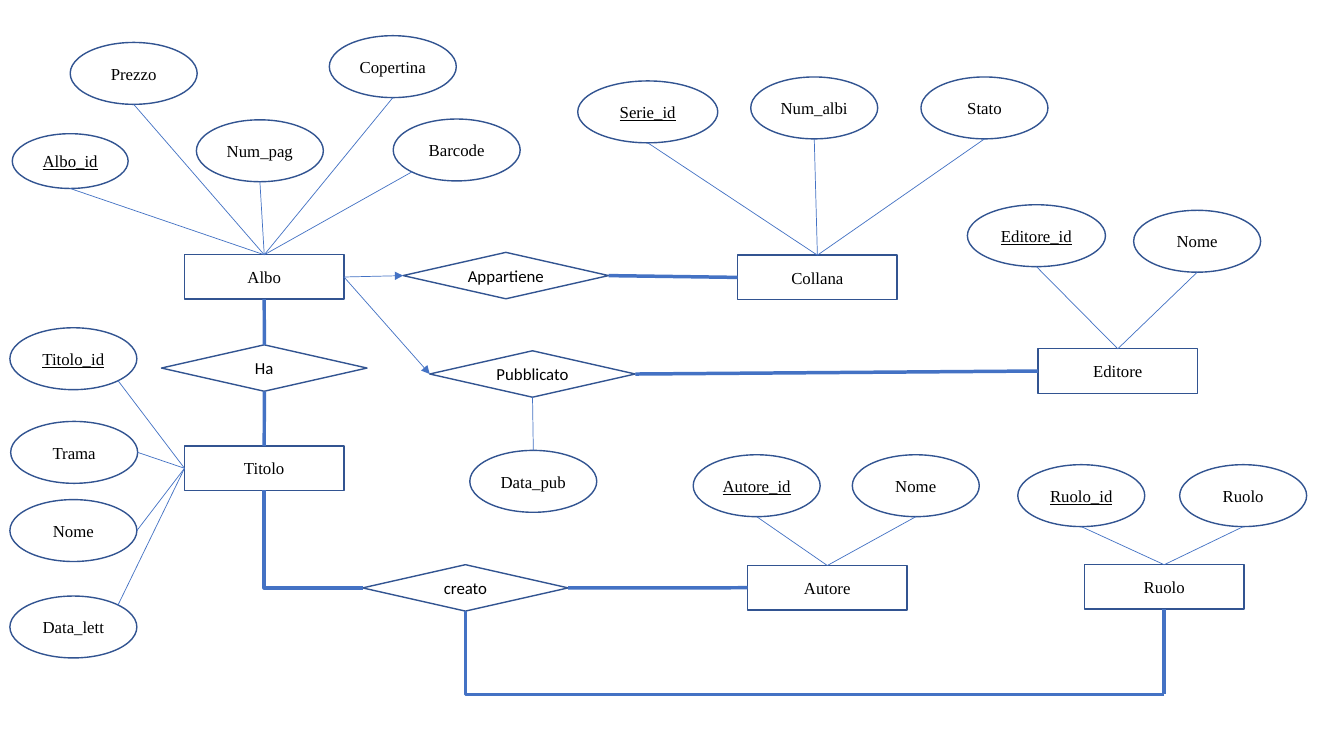
from lxml import etree
from pptx import Presentation
from pptx.dml.color import RGBColor
from pptx.enum.shapes import MSO_CONNECTOR as LineKind, MSO_SHAPE as Shape
from pptx.enum.text import MSO_ANCHOR, PP_ALIGN
from pptx.oxml.ns import qn
from pptx.util import Cm, Pt

OUTLINE = RGBColor(0x32, 0x54, 0x91)
LINK = RGBColor(0x44, 0x72, 0xC4)
BLACK = RGBColor(0, 0, 0)
SERIF, SANS = "Times New Roman", "Calibri"
THIN, THICK = Pt(0.5), Pt(2.5)
TOP, LEFT, BOTTOM, RIGHT = range(4)

ENTITIES = {
    "Albo": (4.65, 6.42), "Collana": (18.59, 6.43), "Titolo": (4.65, 11.24),
    "Autore": (18.84, 14.25), "Editore": (26.16, 8.79), "Ruolo": (27.33, 14.23),
}
RELATIONS = {
    "Appartiene": (10.16, 6.36), "Ha": (4.07, 8.69),
    "Pubblicato": (10.83, 8.84), "creato": (9.14, 14.23),
}

FOOT, HEAD, EAST = (0.5, 1), (0.5, 0), (1, 0.5)
SOUTH_EAST, SOUTH_WEST, NORTH_EAST = (0.85, 0.85), (0.15, 0.85), (0.85, 0.15)
WIDTH, HEIGHT = 3.2, 1.56
ATTRIBUTES = {
    ("Albo", TOP): [
        ("Albo_id", 0.31, 3.37, 2.92, 1.38, FOOT),
        ("Prezzo", 1.77, 1.07, WIDTH, HEIGHT, FOOT),
        ("Num_pag", 4.95, 3.02, WIDTH, HEIGHT, FOOT),
        ("Copertina", 8.3, 0.9, WIDTH, HEIGHT, FOOT),
        ("Barcode", 9.91, 3, WIDTH, HEIGHT, SOUTH_WEST),
    ],
    ("Collana", TOP): [
        ("Serie_id", 14.56, 2.04, 3.53, HEIGHT, FOOT),
        ("Num_albi", 18.92, 1.94, WIDTH, HEIGHT, FOOT),
        ("Stato", 23.21, 1.94, WIDTH, HEIGHT, FOOT),
    ],
    ("Editore", TOP): [
        ("Editore_id", 24.38, 5.16, 3.48, HEIGHT, FOOT),
        ("Nome", 28.57, 5.3, WIDTH, HEIGHT, FOOT),
    ],
    ("Titolo", LEFT): [
        ("Titolo_id", 0.25, 8.26, WIDTH, HEIGHT, SOUTH_EAST),
        ("Trama", 0.27, 10.62, WIDTH, HEIGHT, EAST),
        ("Nome", 0.25, 12.59, WIDTH, HEIGHT, EAST),
        ("Data_lett", 0.25, 15.02, WIDTH, HEIGHT, NORTH_EAST),
    ],
    ("Pubblicato", BOTTOM): [("Data_pub", 11.84, 11.35, WIDTH, HEIGHT, HEAD)],
    ("Autore", TOP): [
        ("Autore_id", 17.47, 11.46, WIDTH, HEIGHT, FOOT),
        ("Nome", 21.48, 11.46, WIDTH, HEIGHT, FOOT),
    ],
    ("Ruolo", TOP): [
        ("Ruolo_id", 25.65, 11.71, WIDTH, HEIGHT, FOOT),
        ("Ruolo", 29.73, 11.71, WIDTH, HEIGHT, FOOT),
    ],
}
LINKS = [
    ("Albo", RIGHT, "Appartiene", LEFT, THIN),
    ("Albo", RIGHT, "Pubblicato", LEFT, THIN),
    ("Appartiene", RIGHT, "Collana", LEFT, THICK),
    ("Pubblicato", RIGHT, "Editore", LEFT, THICK),
    ("Albo", BOTTOM, "Ha", TOP, THICK),
    ("Ha", BOTTOM, "Titolo", TOP, THICK),
    ("creato", RIGHT, "Autore", LEFT, THICK),
    ("creato", LEFT, "Titolo", BOTTOM, THICK),
]

presentation = Presentation()
presentation.slide_width, presentation.slide_height = Cm(33.87), Cm(19.05)
slide = presentation.slides.add_slide(presentation.slide_layouts[6])


def add_node(kind, label, left, top, width, height, font_name):
    shape = slide.shapes.add_shape(kind, Cm(left), Cm(top), Cm(width), Cm(height))
    shape.shadow.inherit = False
    shape.fill.background()
    shape.line.color.rgb = OUTLINE
    shape.line.width = Pt(1)
    frame = shape.text_frame
    frame.word_wrap = False
    frame.vertical_anchor = MSO_ANCHOR.MIDDLE
    paragraph = frame.paragraphs[0]
    paragraph.alignment = PP_ALIGN.CENTER
    run = paragraph.add_run()
    run.text = label
    run.font.color.rgb = BLACK
    style = {"name": font_name, "size": Pt(12), "underline": label.endswith("_id")}
    for name, value in style.items():
        setattr(run.font, name, value)
    return shape


def add_link(start, node, site, width, bent=False):
    connector = slide.shapes.add_connector(LineKind.STRAIGHT, *start, *start)
    connector.end_connect(node, site)
    connector.line.color.rgb = LINK
    connector.line.width = width
    properties = connector._element.spPr
    if bent:
        properties.find(qn("a:prstGeom")).set("prst", "bentConnector2")
    etree.SubElement(properties, qn("a:effectLst"))
    return connector


nodes = {}
for label, (left, top) in ENTITIES.items():
    nodes[label] = add_node(Shape.FLOWCHART_PROCESS, label, left, top, 4.02, 1.12, SERIF)
for label, (left, top) in RELATIONS.items():
    nodes[label] = add_node(Shape.FLOWCHART_DECISION, label, left, top, 5.18, 1.17, SANS)

for (owner, site), attributes in ATTRIBUTES.items():
    for label, left, top, width, height, (across, down) in attributes:
        add_node(Shape.OVAL, label, left, top, width, height, SERIF)
        start = Cm(left + across * width), Cm(top + down * height)
        add_link(start, nodes[owner], site, THIN)

for source, source_site, target, target_site, width in LINKS:
    bent = (source_site, target_site) == (LEFT, BOTTOM)
    connector = add_link((0, 0), nodes[target], target_site, width, bent)
    connector.begin_connect(nodes[source], source_site)
    if width == THIN:
        line = connector.line._get_or_add_ln()
        etree.SubElement(line, qn("a:tailEnd"), type="triangle")

ruolo = nodes["Ruolo"]
corner = ruolo.left + ruolo.width // 2, Cm(17.5)
add_link(corner, nodes["creato"], BOTTOM, THICK, bent=True)
add_link(corner, ruolo, BOTTOM, THICK)

presentation.save("out.pptx")
